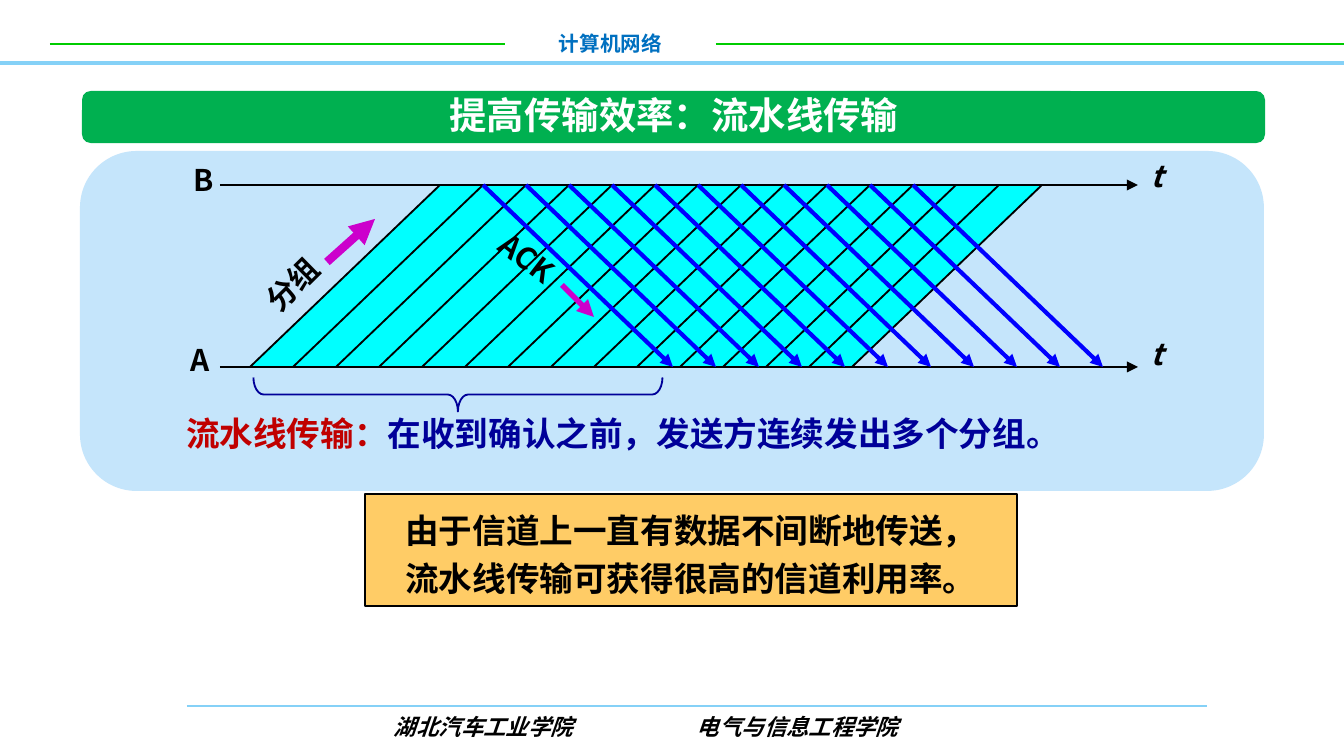
from pptx import Presentation
from pptx.dml.color import RGBColor
from pptx.enum.shapes import MSO_CONNECTOR, MSO_SHAPE
from pptx.enum.text import MSO_ANCHOR, MSO_AUTO_SIZE, PP_ALIGN
from pptx.oxml.ns import qn
from pptx.util import Emu, Pt
from lxml.etree import SubElement

SCALE = 914400 / 134.4
COLORS = {
    "black": "000000", "white": "FFFFFF", "sky": "85D1F7", "lime": "00CC00",
    "title": "0070C0", "panel": "C5E5FB", "green": "00B050", "amber": "FFCC66",
    "cyan": "00FFFF", "blue": "0000FF", "pink": "CC00CC", "navy": "000099",
    "red": "C00000",
}


def px(n):
    return Emu(round(n * SCALE))


def rgb(name):
    return RGBColor.from_string(COLORS[name])


class Board:
    font = "Noto Sans CJK SC"

    def __init__(self, deck):
        self.shapes = deck.slides.add_slide(deck.slide_layouts[6]).shapes

    def line(self, x1, y1, x2, y2, color="black", width=1, arrow=False):
        link = self.shapes.add_connector(
            MSO_CONNECTOR.STRAIGHT, px(x1), px(y1), px(x2), px(y2))
        link.line.color.rgb = rgb(color)
        link.line.width = Pt(width)
        props = link._element.spPr
        if arrow:
            SubElement(props.find(qn("a:ln")), qn("a:tailEnd"), type="triangle")
        SubElement(props, qn("a:effectLst"))

    def paint(self, shape, fill, line, width):
        shape.shadow.inherit = False
        if fill:
            shape.fill.solid()
            shape.fill.fore_color.rgb = rgb(fill)
        else:
            shape.fill.background()
        if line:
            shape.line.color.rgb = rgb(line)
            shape.line.width = Pt(width)
        else:
            shape.line.fill.background()
        return shape

    def shape(self, kind, x, y, w, h, fill=None, line=None, width=1):
        item = self.shapes.add_shape(kind, px(x), px(y), px(w), px(h))
        return self.paint(item, fill, line, width)

    def area(self, points, fill):
        start, *rest = [(px(x), px(y)) for x, y in points]
        pen = self.shapes.build_freeform(*start)
        pen.add_line_segments(rest, close=True)
        return self.paint(pen.convert_to_shape(), fill, None, 0)

    def style(self, run, size, color, italic=False, font=None):
        run.font.name = font or self.font
        run.font.size = Pt(size)
        run.font.bold = True
        run.font.italic = italic
        run.font.color.rgb = rgb(color)
        SubElement(run._r.get_or_add_rPr(), qn("a:ea"), typeface=font or self.font)

    def words(self, frame, text, size, color="black", align=PP_ALIGN.LEFT,
              italic=False, font=None):
        frame.text = text
        for para in frame.paragraphs:
            para.alignment = align
            for run in para.runs:
                self.style(run, size, color, italic, font)

    def label(self, x, y, w, h, text, size=16, wrap=False, turn=0, **look):
        box = self.shapes.add_textbox(px(x), px(y), px(w), px(h))
        box.rotation = turn
        frame = box.text_frame
        self.words(frame, text, size, **look)
        frame.word_wrap = wrap
        frame.auto_size = MSO_AUTO_SIZE.SHAPE_TO_FIT_TEXT
        return frame


def frame_page(board):
    """Draw the header and footer."""
    board.line(187, 706, 1207, 706, "sky", 1.5)
    board.line(716, 44, 1344, 44, "lime")
    board.line(0, 63, 1344, 63, "sky", 2)
    board.line(50, 44, 505, 44, "lime")
    board.label(505, 24, 211, 39, "计算机网络", 11, True,
                color="title", align=PP_ALIGN.CENTER)
    foot = board.label(137, 707, 1016, 40, "湖北汽车工业学院\t电气与信息工程学院",
                       12, True, italic=True, font="Arial")
    foot.margin_left = px(257)
    props = foot.paragraphs[0]._p.get_or_add_pPr()
    tabs = SubElement(props, qn("a:tabLst"))
    SubElement(tabs, qn("a:tab"), pos=str(px(303)), algn="l")


def draw_flow(board):
    """Draw packets going from A to B and the ACKs coming back."""
    top, base, step, run = 185, 367, 43, 190
    left, count, acks = 250, 15, 11
    end = left + step * (count - 1)
    board.area([(left, base), (left + run, top), (end + run, top), (end, base)],
               "cyan")
    for y in (base, top):
        board.line(220, y, 1138, y, width=1.5, arrow=True)
    for i in range(count):
        x = left + step * i
        board.line(x, base, x + run, top)
    for i in range(acks):
        x = left + run + step * (i + 1)
        board.line(x, top, x + run, base, "blue", 2.25, True)
    board.label(180, 155, 48, 50, "B")
    board.label(177, 335, 50, 50, "A")
    for y in (151, 329):
        board.label(1137, y, 39, 50, "t", italic=True)
    board.label(249, 259, 87, 50, "分组", turn=315.3)
    board.label(484, 235, 90, 50, "ACK", turn=37.8)
    board.line(327, 262, 375, 219, "pink", 4.5, True)
    board.line(562, 285, 594, 317, "pink", 3, True)
    brace = board.shape(MSO_SHAPE.LEFT_BRACE, 441, 190, 34, 409, line="navy")
    brace.rotation = 270
    brace.adjustments[0] = 0.3


def main():
    deck = Presentation()
    deck.slide_width, deck.slide_height = px(1344), px(756)
    board = Board(deck)
    frame_page(board)
    board.shape(MSO_SHAPE.ROUNDED_RECTANGLE, 80, 151, 1184, 340, "panel")

    note = board.shape(MSO_SHAPE.RECTANGLE, 365, 494, 652, 112,
                       "amber", "black", 0.75).text_frame
    board.words(note, "由于信道上一直有数据不间断地传送，\n流水线传输可获得很高的信道利用率。",
                18, align=PP_ALIGN.CENTER)
    note.vertical_anchor = MSO_ANCHOR.MIDDLE
    for para in note.paragraphs:
        para.line_spacing = Pt(26)

    draw_flow(board)

    claim = board.label(173, 406, 910, 54, "流水线传输：", 18, color="red")
    rest = claim.paragraphs[0].add_run()
    rest.text = "在收到确认之前，发送方连续发出多个分组。"
    board.style(rest, 18, "navy")

    board.shape(MSO_SHAPE.ROUNDED_RECTANGLE, 82, 91, 1183, 52, "green")
    board.label(434, 86, 480, 59, "提高传输效率：流水线传输", 20,
                color="white", align=PP_ALIGN.CENTER)
    deck.save("out.pptx")


if __name__ == "__main__":
    main()
